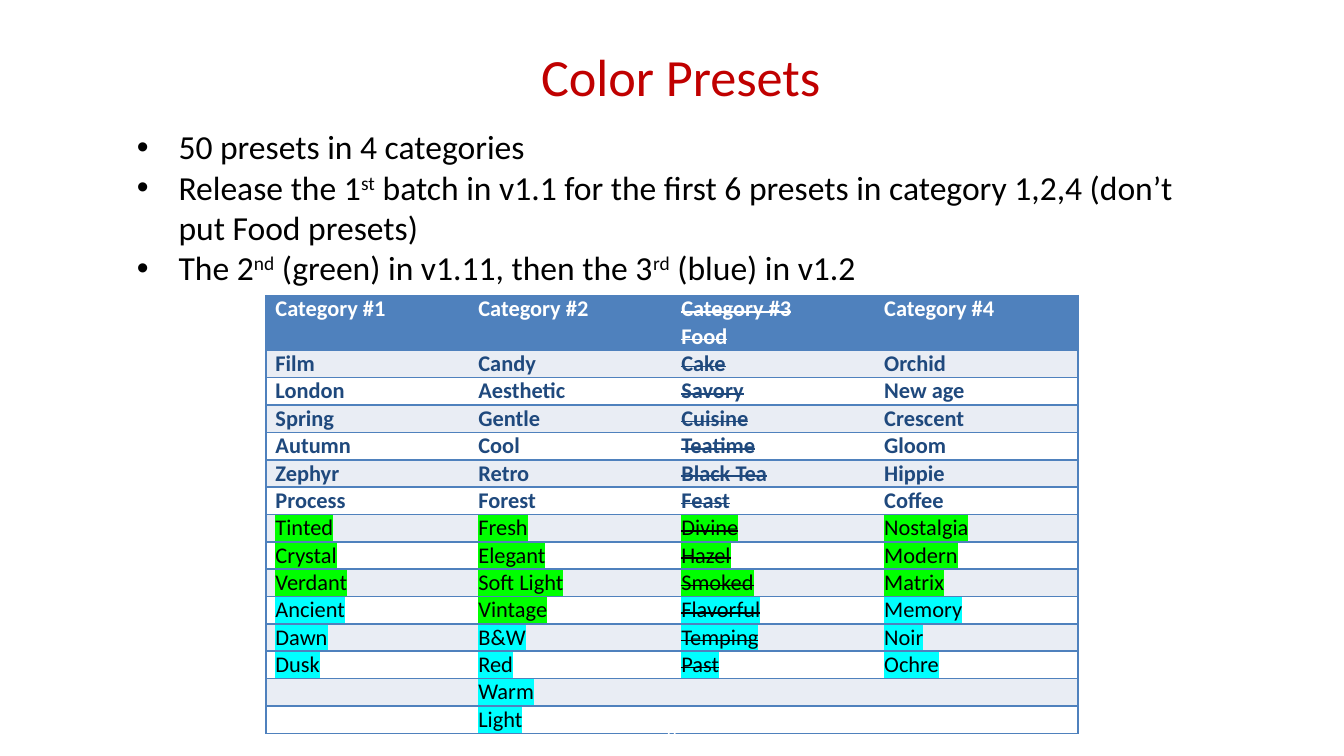
from dataclasses import dataclass

from lxml.etree import SubElement
from pptx import Presentation
from pptx.dml.color import RGBColor
from pptx.enum.text import MSO_ANCHOR, PP_ALIGN
from pptx.oxml import parse_xml
from pptx.oxml.ns import nsdecls, qn
from pptx.util import Inches, Pt


@dataclass(frozen=True)
class Theme:
    font: str = "Calibri"
    title_size: int = 28
    body_size: int = 18
    table_size: int = 12
    number_size: int = 10
    title: str = "C00000"
    text: str = "000000"
    white: str = "FFFFFF"
    header: str = "4F81BD"
    band: str = "E9EDF4"
    first_batch: str = "1F497D"
    second_batch: str = "00FF00"
    third_batch: str = "00FFFF"


@dataclass(frozen=True)
class Category:
    heading: str
    first: list[str]
    second: list[str]
    third: list[str]
    dropped: bool = False


@dataclass(frozen=True)
class Look:
    color: str
    bold: bool = False
    highlight: str | None = None
    struck: bool = False


THEME = Theme()

CATEGORIES = [
    Category("Category #1",
             ["Film", "London", "Spring", "Autumn", "Zephyr", "Process"],
             ["Tinted", "Crystal", "Verdant"],
             ["Ancient", "Dawn", "Dusk"]),
    Category("Category #2",
             ["Candy", "Aesthetic", "Gentle", "Cool", "Retro", "Forest"],
             ["Fresh", "Elegant", "Soft Light", "Vintage"],
             ["B&W", "Red", "Warm", "Light"]),
    Category("Category #3\nFood",
             ["Cake", "Savory", "Cuisine", "Teatime", "Black Tea", "Feast"],
             ["Divine", "Hazel", "Smoked"],
             ["Flavorful", "Temping", "Past"], dropped=True),
    Category("Category #4",
             ["Orchid", "New age", "Crescent", "Gloom", "Hippie", "Coffee"],
             ["Nostalgia", "Modern", "Matrix"],
             ["Memory", "Noir", "Ochre"]),
]

# Text between carets is superscript.
PLAN = [
    "50 presets in 4 categories",
    "Release the 1^st^ batch in v1.1 for the first 6 presets in category 1,2,4 "
    "(don’t put Food presets)",
    "The 2^nd^ (green) in v1.11, then the 3^rd^ (blue) in v1.2",
]


def style_run(run, size: int, look: Look) -> None:
    run.font.name = THEME.font
    run.font.size = Pt(size)
    run.font.bold = look.bold
    run.font.color.rgb = RGBColor.from_string(look.color)
    properties = run._r.get_or_add_rPr()
    if look.struck:
        properties.set("strike", "sngStrike")
    if look.highlight:
        properties.find(qn("a:solidFill")).addnext(parse_xml(
            f'<a:highlight {nsdecls("a")}><a:srgbClr val="{look.highlight}"/></a:highlight>'))


def add_text_frame(slide, left: float, top: float, width: float, height: float,
                   anchor: MSO_ANCHOR):
    frame = slide.shapes.add_textbox(
        Inches(left), Inches(top), Inches(width), Inches(height)).text_frame
    frame.word_wrap = True
    frame.vertical_anchor = anchor
    return frame


def add_centred_line(frame, text: str, size: int, color: str) -> None:
    frame.text = text
    line = frame.paragraphs[0]
    line.alignment = PP_ALIGN.CENTER
    style_run(line.runs[0], size, Look(color))


def add_plan(slide) -> None:
    frame = add_text_frame(slide, 0.92, 0.89, 7.92, 1.31, MSO_ANCHOR.TOP)
    for index, step in enumerate(PLAN):
        bullet = frame.paragraphs[0] if index == 0 else frame.add_paragraph()
        properties = bullet._p.get_or_add_pPr()
        properties.set("marL", str(Inches(0.31)))
        properties.set("indent", str(Inches(-0.31)))
        SubElement(properties, qn("a:buFont"), typeface="Arial")
        SubElement(properties, qn("a:buChar"), char="•")
        for part, words in enumerate(step.split("^")):
            run = bullet.add_run()
            run.text = words
            style_run(run, THEME.body_size, Look(THEME.text))
            if part % 2:
                run._r.get_or_add_rPr().set("baseline", "30000")


def column_entries(category: Category) -> list[tuple[str, Look]]:
    """The texts of one column from top to bottom, each with its look."""
    struck = category.dropped
    groups = [
        ([category.heading], Look(THEME.white, bold=True, struck=struck)),
        (category.first, Look(THEME.first_batch, bold=True, struck=struck)),
        (category.second, Look(THEME.text, False, THEME.second_batch, struck)),
        (category.third, Look(THEME.text, False, THEME.third_batch, struck)),
    ]
    return [(text, look) for texts, look in groups for text in texts]


def format_cell(cell, fill: str, sides: str) -> None:
    cell.margin_left = cell.margin_right = Inches(0.07)
    cell.margin_top = cell.margin_bottom = 0
    cell.fill.solid()
    cell.fill.fore_color.rgb = RGBColor.from_string(fill)
    properties = cell._tc.get_or_add_tcPr()
    for position, side in enumerate(sides):
        properties.insert(position, parse_xml(
            f'<a:ln{side} {nsdecls("a")} w="{Pt(1)}"><a:solidFill>'
            f'<a:srgbClr val="{THEME.header}"/></a:solidFill></a:ln{side}>'))


def write_cell(cell, text: str, look: Look) -> None:
    cell.text_frame.text = text
    for paragraph in cell.text_frame.paragraphs:
        for run in paragraph.runs:
            style_run(run, THEME.table_size, look)


def add_preset_table(slide) -> None:
    columns = [column_entries(category) for category in CATEGORIES]
    row_count = max(len(entries) for entries in columns)
    last = len(columns) - 1
    table = slide.shapes.add_table(
        row_count, len(columns), Inches(1.98), Inches(2.2), Inches(6.04), Inches(3.2)).table
    table.first_row = table.horz_banding = False
    # The style without fills and grid lines
    table._tbl.tblPr.find(qn("a:tableStyleId")).text = "{2D5ABB26-0587-4C30-8999-92F81FD0307C}"
    for index, row in enumerate(table.rows):
        row.height = Inches(0.2 if index else 0.4)
        fill = (THEME.band if index % 2 else THEME.white) if index else THEME.header
        for column, cell in enumerate(row.cells):
            sides = ("L" if column == 0 else "") + ("R" if column == last else "") + "TB"
            format_cell(cell, fill, sides)
            if index < len(columns[column]):
                write_cell(cell, *columns[column][index])
            else:
                # An empty cell needs its own text size to keep the row low
                SubElement(cell.text_frame.paragraphs[0]._p, qn("a:endParaRPr"),
                           sz=str(THEME.table_size * 100))


def main() -> None:
    presentation = Presentation()
    presentation.slide_width = Inches(10)
    presentation.slide_height = Inches(10 * 9 / 16)
    slide = presentation.slides.add_slide(presentation.slide_layouts[6])

    add_preset_table(slide)
    title = add_text_frame(slide, 0.41, 0.25, 9.18, 0.62, MSO_ANCHOR.MIDDLE)
    title.margin_left = Inches(0.18)
    title.margin_right = Inches(0.05)
    add_centred_line(title, "Color Presets", THEME.title_size, THEME.title)
    add_plan(slide)
    page_number = add_text_frame(slide, 4.75, 5.29, 0.5, 0.3, MSO_ANCHOR.MIDDLE)
    add_centred_line(page_number, "8", THEME.number_size, THEME.white)

    presentation.save("out.pptx")


if __name__ == "__main__":
    main()
